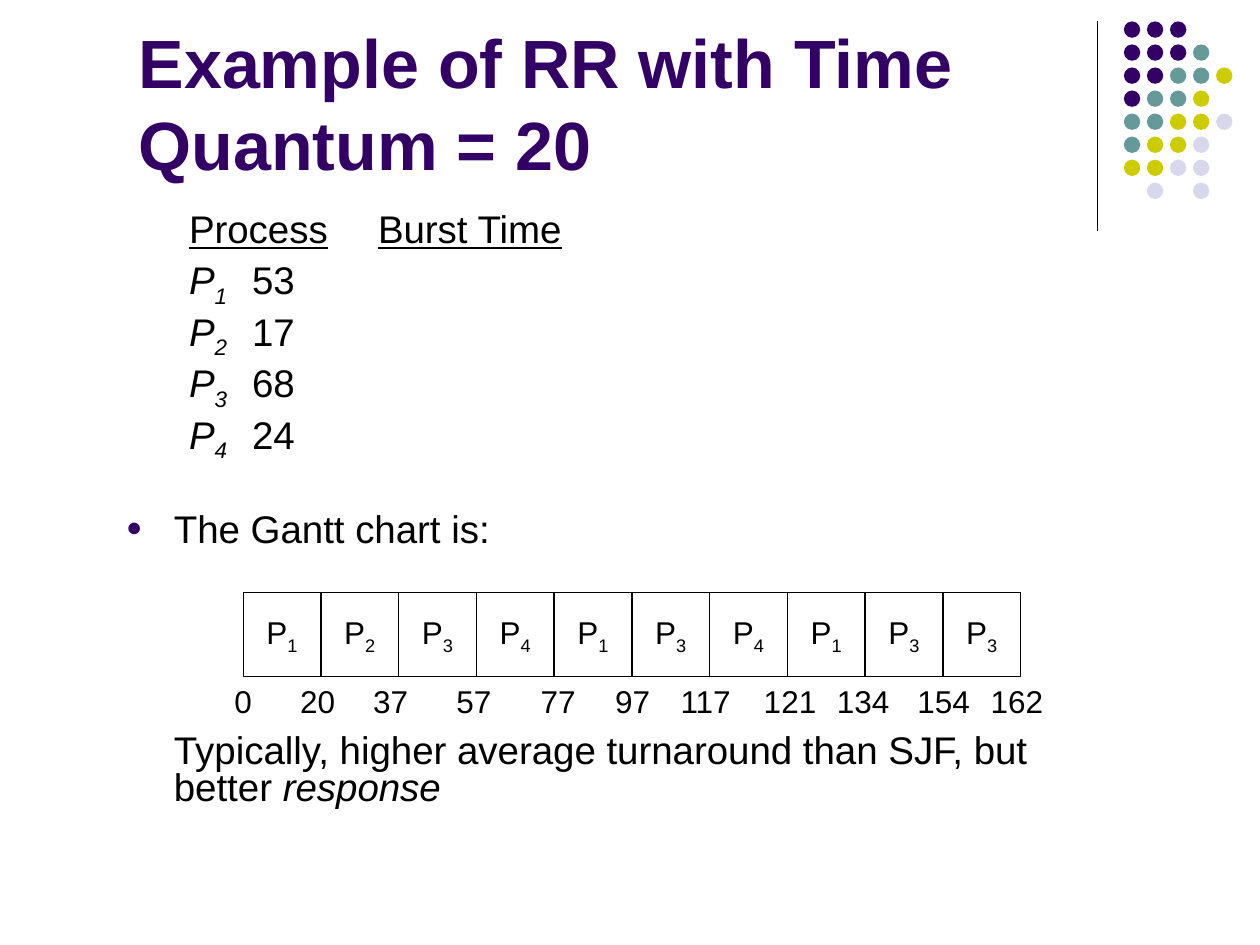
from dataclasses import dataclass

from lxml.etree import SubElement
from pptx import Presentation
from pptx.dml.color import RGBColor
from pptx.enum.shapes import MSO_CONNECTOR, MSO_SHAPE
from pptx.enum.text import MSO_ANCHOR, MSO_AUTO_SIZE, PP_ALIGN
from pptx.oxml.ns import qn
from pptx.util import Inches, Pt


@dataclass(frozen=True)
class Theme:
    font: str = "Arial"
    ink: str = "000000"
    paper: str = "FFFFFF"
    purple: str = "330066"
    teal: str = "669999"
    lime: str = "CCCC00"
    lavender: str = "D8D8EC"
    title_size: int = 39
    body_size: int = 22
    chart_size: int = 18
    line_width: float = 0.75


PLAIN = {}
ITALIC = {"italic": True}
UNDERLINE = {"underline": True}
SUBSCRIPT = {"subscript": True}
ITALIC_SUBSCRIPT = ITALIC | SUBSCRIPT

DOT_ROWS = ["PPP", "PPPT", "PPTTL", "PTTL", "TTLLV", "TLLV", "LLVV", " V V"]
BURSTS = [("1", "53", 1.38, 2.38), ("2", "17", 1.47, 2.43),
          ("3", "68", 1.47, 2.38), ("4", "24", 1.47, 2.43)]
GANTT_ORDER = "1234134133"
TIMES = [(0, 1.93), (20, 2.52), (37, 3.1), (57, 3.76), (77, 4.43), (97, 5.02),
         (117, 5.6), (121, 6.27), (134, 6.85), (154, 7.49), (162, 8.07)]


def apply(target, values):
    for name, value in values.items():
        setattr(target, name, value)


class SlideBuilder:
    def __init__(self, slide, theme):
        self.slide = slide
        self.theme = theme

    def place(self, shape, left, top, width, height):
        apply(shape, {"left": Inches(left), "top": Inches(top),
                      "width": Inches(width), "height": Inches(height)})

    def frame(self, shape, anchor, wrap):
        apply(shape.text_frame, {"auto_size": MSO_AUTO_SIZE.NONE, "word_wrap": wrap,
                                 "vertical_anchor": anchor})
        return shape.text_frame

    def add_runs(self, paragraph, runs, size, color, **common):
        for text, style in runs:
            run = paragraph.add_run()
            run.text = text
            values = {"name": self.theme.font, "size": Pt(size)} | common | style
            if values.pop("subscript", False):
                run._r.get_or_add_rPr().set("baseline", "-25000")
            apply(run.font, values)
            run.font.color.rgb = RGBColor.from_string(color)

    def title(self, text, box):
        shape = self.slide.shapes.title
        self.place(shape, *box)
        paragraph = self.frame(shape, MSO_ANCHOR.BOTTOM, True).paragraphs[0]
        paragraph.alignment = PP_ALIGN.LEFT
        self.add_runs(paragraph, [(text, PLAIN)], self.theme.title_size,
                      self.theme.purple, bold=True)

    def body(self, items, box):
        shape = self.slide.placeholders[1]
        self.place(shape, *box)
        text_frame = self.frame(shape, MSO_ANCHOR.TOP, True)
        for index, item in enumerate(items):
            paragraph = text_frame.add_paragraph() if index else text_frame.paragraphs[0]
            self.list_format(paragraph, **item["format"])
            apply(paragraph, {"line_spacing": 0.8, "space_before": Pt(item["before"])})
            self.add_runs(paragraph, item["runs"], self.theme.body_size, self.theme.ink)

    def list_format(self, paragraph, margin=0, bullet=False, tabs=()):
        properties = paragraph._p.get_or_add_pPr()
        properties.set("marL", str(Inches(margin)))
        properties.set("indent", str(Inches(-margin if bullet else 0)))
        if bullet:
            color = SubElement(properties, qn("a:buClr"))
            SubElement(color, qn("a:srgbClr"), val=self.theme.purple)
            SubElement(properties, qn("a:buSzPct"), val="70000")
            SubElement(properties, qn("a:buFont"), typeface=self.theme.font)
            SubElement(properties, qn("a:buChar"), char="●")
        else:
            SubElement(properties, qn("a:buNone"))
        if tabs:
            tab_list = SubElement(properties, qn("a:tabLst"))
            for position in tabs:
                SubElement(tab_list, qn("a:tab"), pos=str(Inches(position)), algn="l")

    def line(self, x1, y1, x2, y2):
        connector = self.slide.shapes.add_connector(
            MSO_CONNECTOR.STRAIGHT, Inches(x1), Inches(y1), Inches(x2), Inches(y2))
        connector.line.color.rgb = RGBColor.from_string(self.theme.ink)
        connector.line.width = Pt(self.theme.line_width)
        SubElement(connector._element.spPr, qn("a:effectLst"))

    def shape(self, group, kind, box, fill):
        shape = group.shapes.add_shape(kind, *map(Inches, box))
        shape.shadow.inherit = False
        shape.fill.solid()
        shape.fill.fore_color.rgb = RGBColor.from_string(fill)
        shape.line.fill.background()
        return shape

    def dots(self, left, top, size, pitch):
        theme = self.theme
        colors = {"P": theme.purple, "T": theme.teal,
                  "L": theme.lime, "V": theme.lavender}
        group = self.slide.shapes.add_group_shape()
        for row, pattern in enumerate(DOT_ROWS):
            for column, key in enumerate(pattern):
                if key in colors:
                    box = (left + column * pitch, top + row * pitch, size, size)
                    self.shape(group, MSO_SHAPE.OVAL, box, colors[key])

    def chart_text(self, shape, runs):
        paragraph = self.frame(shape, MSO_ANCHOR.MIDDLE, False).paragraphs[0]
        paragraph.alignment = PP_ALIGN.CENTER
        self.add_runs(paragraph, runs, self.theme.chart_size, self.theme.ink)

    def gantt(self, left, top, width, height):
        group = self.slide.shapes.add_group_shape()
        cell = width / len(GANTT_ORDER)
        for index, number in enumerate(GANTT_ORDER):
            box = (left + index * cell, top, cell, height)
            bar = self.shape(group, MSO_SHAPE.RECTANGLE, box, self.theme.paper)
            bar.line.color.rgb = RGBColor.from_string(self.theme.ink)
            bar.line.width = Pt(self.theme.line_width)
            self.chart_text(bar, [("P", PLAIN), (number, SUBSCRIPT)])
        for time, center in TIMES:
            label_width = 0.2 + 0.14 * len(str(time))
            box = (center - label_width / 2, top + height - 0.01, label_width, 0.4)
            label = group.shapes.add_textbox(*map(Inches, box))
            self.chart_text(label, [(str(time), PLAIN)])


def body_items():
    items = [{"before": 0, "format": {"tabs": (1.38, 3.38)},
              "runs": [("\t", PLAIN), ("Process", UNDERLINE),
                       ("\t", PLAIN), ("Burst Time", UNDERLINE)]}]
    for number, burst, *tabs in BURSTS:
        items.append({"before": 5.5, "format": {"tabs": tabs},
                      "runs": [("\tP", ITALIC), (number, ITALIC_SUBSCRIPT),
                               ("\t" + burst, PLAIN)]})
    items.append({"before": 32, "format": {"margin": 0.38, "bullet": True},
                  "runs": [("The Gantt chart is:", PLAIN)]})
    items.append({"before": 105.5, "format": {"margin": 0.38},
                  "runs": [("Typically, higher average turnaround than SJF, but better ", PLAIN),
                           ("response", ITALIC)]})
    return items


def main():
    presentation = Presentation()
    apply(presentation, {"slide_width": Inches(10), "slide_height": Inches(7.5)})
    slide = presentation.slides.add_slide(presentation.slide_layouts[1])
    builder = SlideBuilder(slide, Theme())
    builder.line(8.71, 0.17, 8.71, 1.83)
    builder.dots(8.92, 0.17, 0.13, 1.28 / 7)
    builder.title("Example of RR with Time Quantum = 20", (1, 0.59, 8.81, 0.92))
    builder.body(body_items(), (0.9, 1.65, 8.04, 4.9))
    builder.gantt(1.93, 4.7, 6.17, 0.67)
    presentation.save("out.pptx")


if __name__ == "__main__":
    main()
